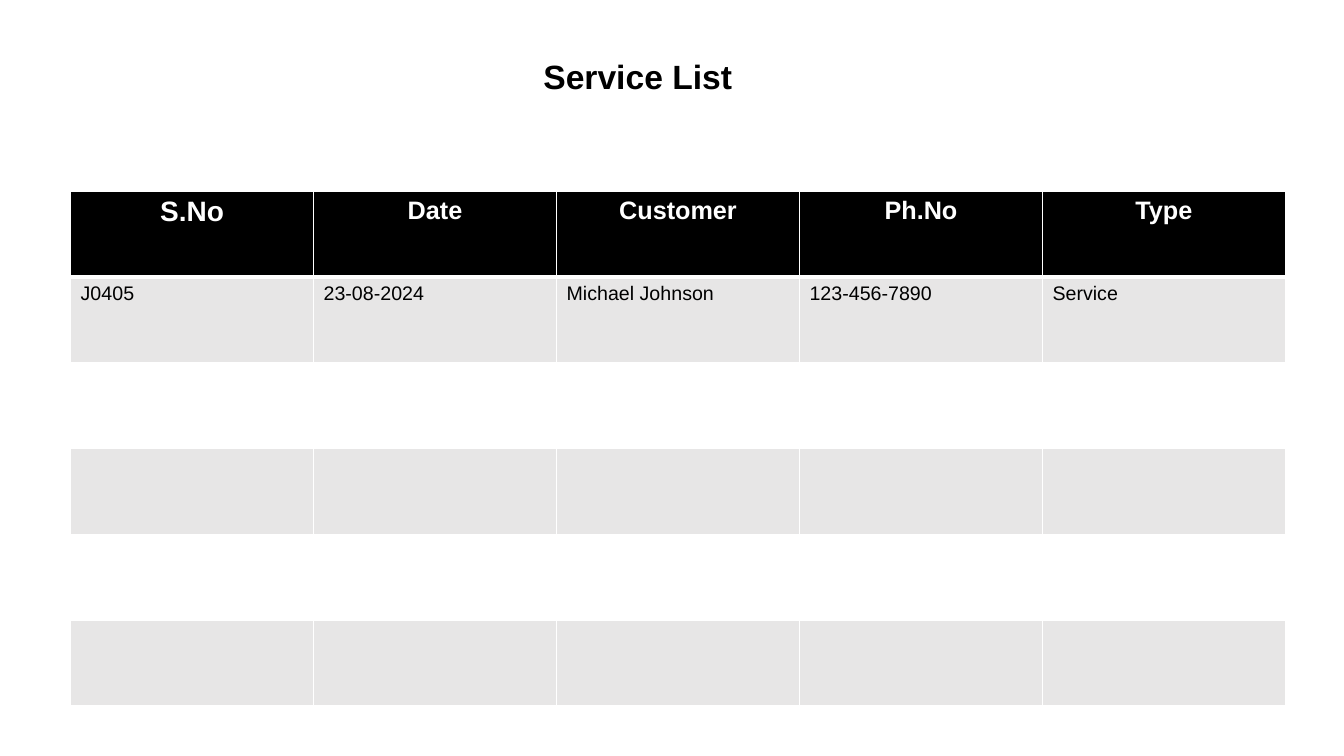
from lxml.etree import SubElement
from pptx import Presentation
from pptx.dml.color import RGBColor as RGB
from pptx.enum.text import MSO_ANCHOR as Anchor, PP_ALIGN as Align
from pptx.oxml.ns import qn
from pptx.util import Inches, Pt

COLORS = {"ink": "000000", "paper": "FFFFFF", "band": "E7E6E6"}
FONT = "Arial"
TITLE_BOX = (1.28, 0.5, 10.09, 0.5)
TABLE_LEFT, TABLE_TOP = 0.7, 1.9
COL_W, ROW_H = 2.41, 0.85
ROW_COUNT = 6
HEADERS = ["S.No", "Date", "Customer", "Ph.No", "Type"]
SERVICES = [["J0405", "23-08-2024", "Michael Johnson", "123-456-7890", "Service"]]


def write(tf, text, size=14, color="ink", bold=False, align=Align.LEFT):
    p = tf.paragraphs[0]
    p.alignment = align
    r = p.add_run()
    r.text = text
    r.font.name = FONT
    r.font.size = Pt(size)
    r.font.bold = bold
    r.font.color.rgb = RGB.from_string(COLORS[color])


def set_borders(cell, **widths):
    """Draw paper-coloured borders; widths (L, R, T, B) are in points."""
    tc_pr = cell._tc.get_or_add_tcPr()
    for side in "LRTB":
        ln = SubElement(tc_pr, qn(f"a:ln{side}"), w=str(Pt(widths.get(side, 1))))
        fill = SubElement(ln, qn("a:solidFill"))
        SubElement(fill, qn("a:srgbClr"), val=COLORS["paper"])


def paint(cell, color):
    cell.fill.solid()
    cell.fill.fore_color.rgb = RGB.from_string(COLORS[color])


def add_title(slide, text):
    title = slide.shapes.title
    title.left, title.top, title.width, title.height = map(Inches, TITLE_BOX)
    tf = title.text_frame
    tf.word_wrap = True
    tf.vertical_anchor = Anchor.TOP
    write(tf, text, size=24, bold=True, align=Align.CENTER)


def add_service_table(slide):
    cols = len(HEADERS)
    table = slide.shapes.add_table(
        ROW_COUNT, cols, Inches(TABLE_LEFT), Inches(TABLE_TOP),
        Inches(cols * COL_W), Inches(ROW_COUNT * ROW_H)).table
    for col in table.columns:
        col.width = Inches(COL_W)
    for i, row in enumerate(table.rows):
        row.height = Inches(ROW_H)
        for cell in row.cells:
            set_borders(cell, T=3 if i == 1 else 1, B=3 if i == 0 else 1)
            paint(cell, "ink" if i == 0 else "band" if i % 2 else "paper")
    for j, header in enumerate(HEADERS):
        write(table.cell(0, j).text_frame, header, size=18 if j else 20,
              color="paper", bold=True, align=Align.CENTER)
    for i, service in enumerate(SERVICES, start=1):
        for j, value in enumerate(service):
            write(table.cell(i, j).text_frame, value)


def main():
    prs = Presentation()
    prs.slide_width, prs.slide_height = Inches(13.33), Inches(7.5)
    slide = prs.slides.add_slide(prs.slide_layouts[5])
    add_service_table(slide)
    add_title(slide, "Service List")
    prs.save("out.pptx")


if __name__ == "__main__":
    main()
